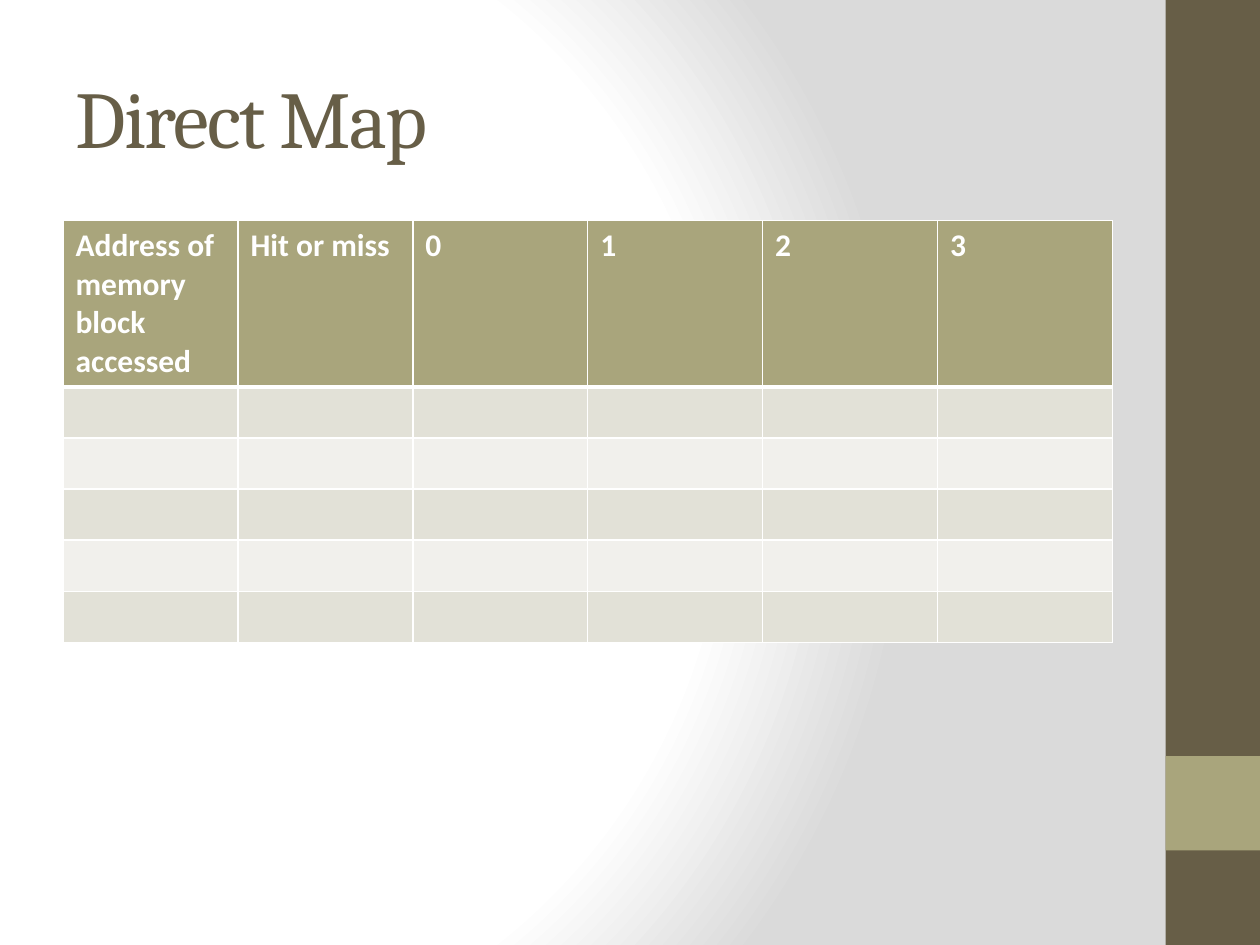
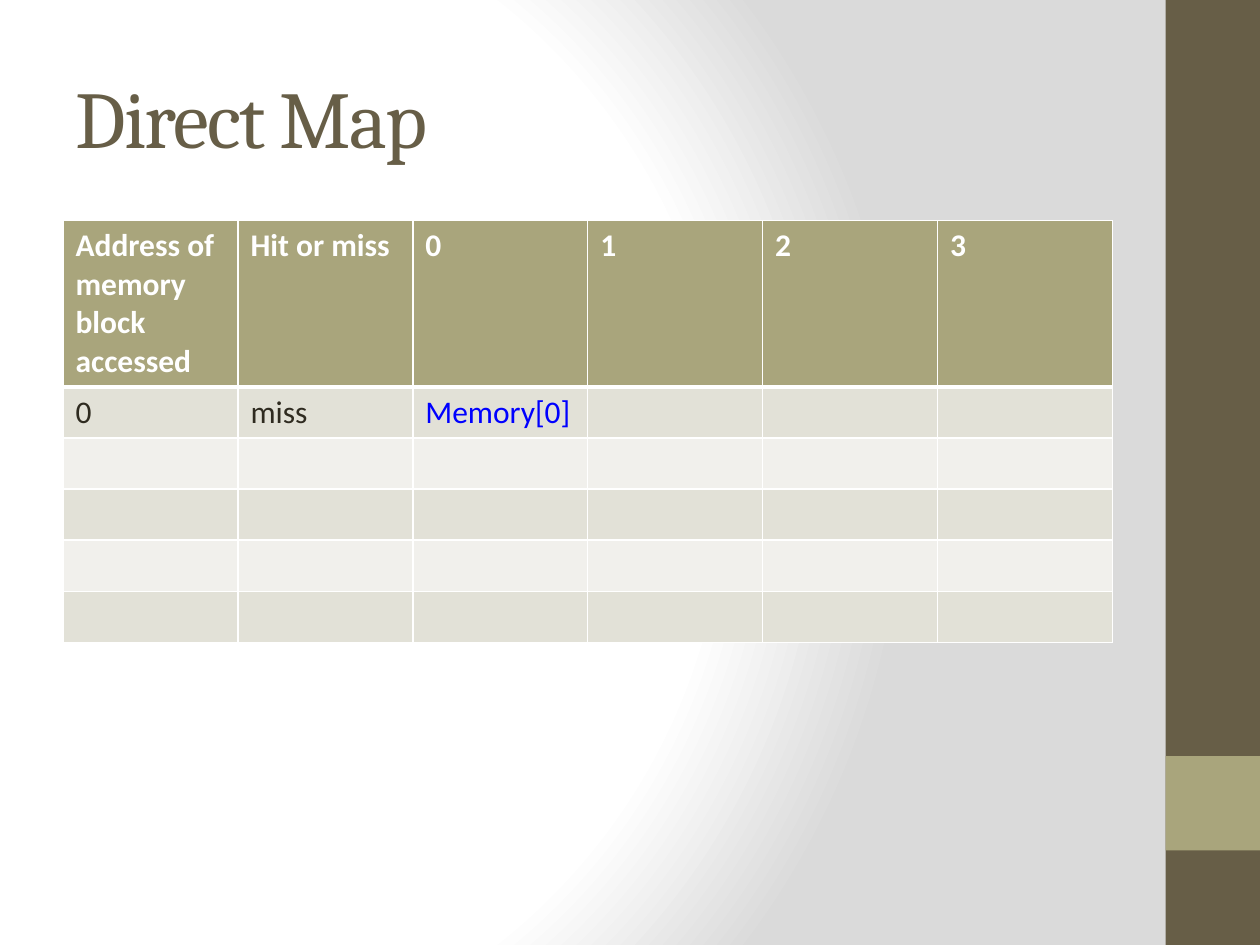
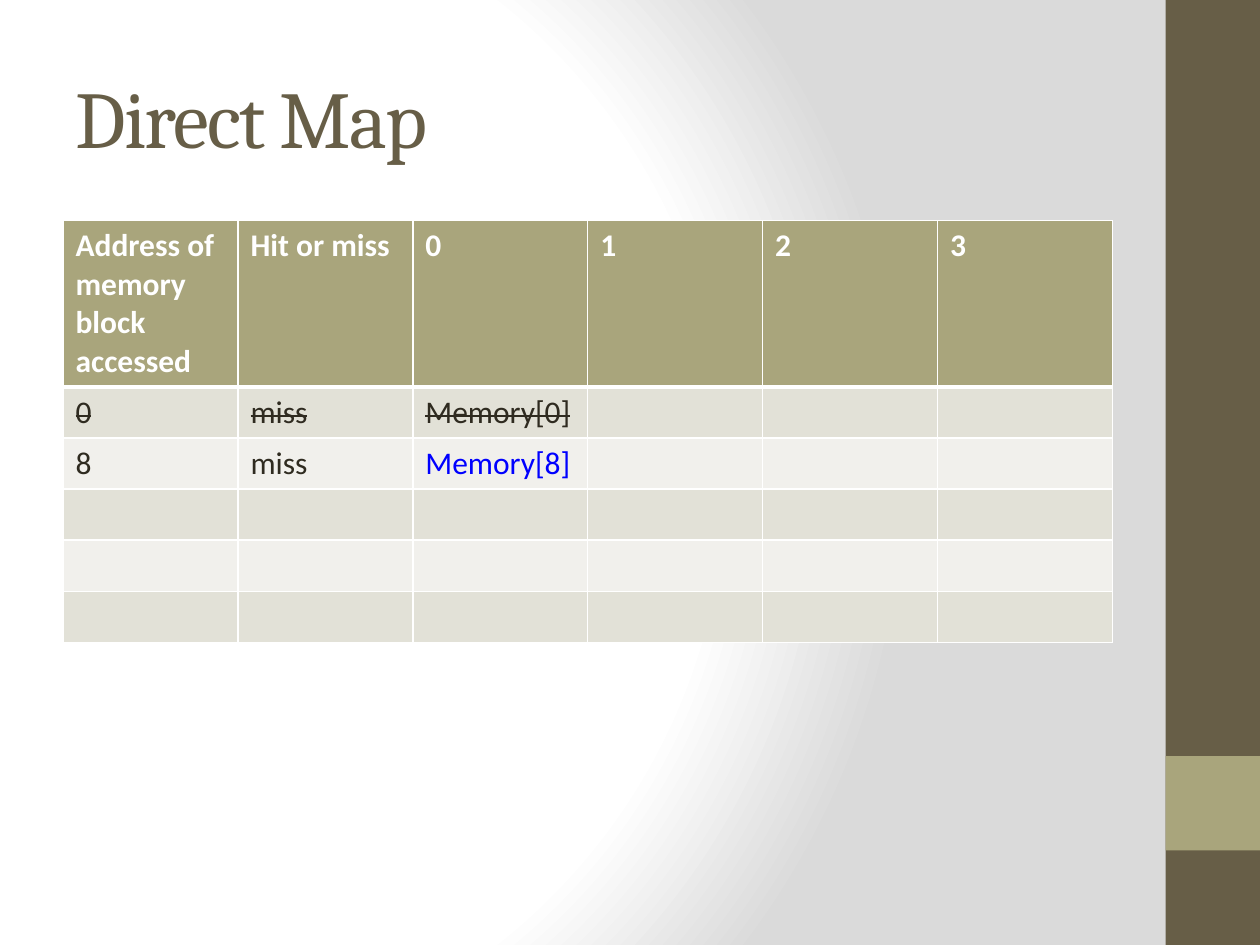
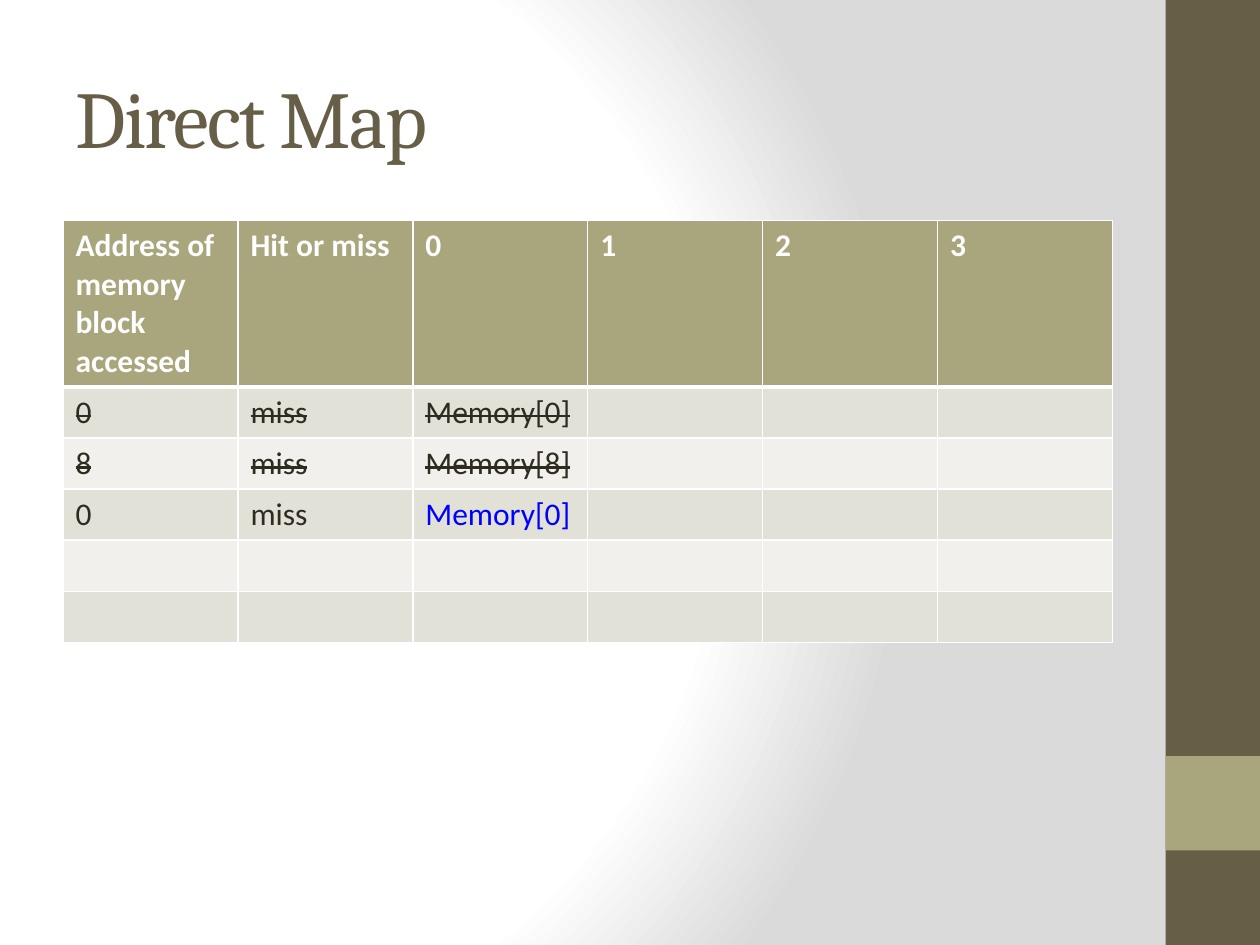
import dataclasses

import lxml.etree
import pptx
import pptx.dml.color
import pptx.enum.shapes
import pptx.enum.text
import pptx.oxml
import pptx.oxml.ns
import pptx.util

Inches = pptx.util.Inches
Pt = pptx.util.Pt


@dataclasses.dataclass(frozen=True)
class Theme:
    white: str = "FFFFFF"
    grey: str = "DADADA"
    brown: str = "675E47"
    olive: str = "A9A57C"
    bands: tuple = ("E2E1D7", "F1F0EC")
    ink: str = "2F2B20"
    current: str = "0000FF"
    title_font: str = "Cambria"
    body_font: str = "Calibri"
    title_size: int = 46
    body_size: int = 18
    thin_line: int = 1
    thick_line: int = 3


THEME = Theme()
TITLE_BOX = (Inches(0.5), Inches(0.3), Inches(8.33), Inches(1.25))
TABLE_BOX = (Inches(0.5), Inches(1.75), Inches(8.33), Inches(3.33))
SIDEBAR_BOX = (Inches(9.25), Inches(0), Inches(0.75), Inches(7.5))
ACCENT_BOX = (Inches(9.25), Inches(6), Inches(0.75), Inches(0.75))
ROW_HEIGHT = Inches(0.405)
EMPTY_ROWS = 5

CACHE_SLOTS = 4
HEADERS = ["Address of memory block accessed", "Hit or miss"]
HEADERS += [str(slot) for slot in range(CACHE_SLOTS)]
ACCESSES = [(0, "miss"), (8, "miss"), (0, "miss")]


def color(value):
    return pptx.dml.color.RGBColor.from_string(value)


def style_span(span, font, size, value, bold=False):
    span.font.name = font
    span.font.size = Pt(size)
    span.font.bold = bold
    span.font.color.rgb = color(value)


def set_background(master):
    """Give every slide the radial gradient."""
    master.background.fill.solid()
    properties = master.element.find(".//" + pptx.oxml.ns.qn("p:bgPr"))
    stops = [(0, THEME.white), (75, THEME.white), (100, THEME.grey)]
    stop_xml = "".join(
        f'<a:gs pos="{percent * 1000}"><a:srgbClr val="{value}"/></a:gs>'
        for percent, value in stops)
    gradient = pptx.oxml.parse_xml(
        f'<a:gradFill {pptx.oxml.ns.nsdecls("a")} rotWithShape="1">'
        f'<a:gsLst>{stop_xml}</a:gsLst><a:path path="circle">'
        '<a:fillToRect l="20000" t="50000" r="100000" b="50000"/>'
        '</a:path></a:gradFill>')
    properties.replace(properties[0], gradient)


def add_master_band(master, page, box, fill, position):
    """Draw a band on a page, then move it to the master behind the text."""
    band = page.shapes.add_shape(
        pptx.enum.shapes.MSO_SHAPE.RECTANGLE, *box)
    band.shadow.inherit = False
    band.fill.solid()
    band.fill.fore_color.rgb = color(fill)
    band.line.fill.background()
    band.element.nvSpPr.cNvPr.set("id", str(100 + position))
    # The first two children of the tree are group properties.
    master.shapes.element.insert(2 + position, band.element)


def place_title(page, box, text):
    title = page.shapes.title
    title.left, title.top, title.width, title.height = box
    frame = title.text_frame
    frame.text = text
    frame.word_wrap = True
    frame.vertical_anchor = pptx.enum.text.MSO_ANCHOR.MIDDLE
    paragraph = frame.paragraphs[0]
    paragraph.alignment = pptx.enum.text.PP_ALIGN.LEFT
    span = paragraph.runs[0]
    style_span(span, THEME.title_font, THEME.title_size, THEME.brown)
    span._r.get_or_add_rPr().set("spc", "-100")


def set_borders(cell, top, bottom):
    properties = cell._tc.get_or_add_tcPr()
    widths = {"lnL": THEME.thin_line, "lnR": THEME.thin_line,
              "lnT": top, "lnB": bottom}
    for position, (side, width) in enumerate(widths.items()):
        line = pptx.oxml.parse_xml(
            f'<a:{side} {pptx.oxml.ns.nsdecls("a")} w="{Pt(width)}">'
            f'<a:solidFill><a:srgbClr val="{THEME.white}"/></a:solidFill>'
            f'</a:{side}>')
        properties.insert(position, line)


def fill_cell(cell, text, value, bold=False, struck=False):
    cell.text_frame.text = text
    for span in cell.text_frame.paragraphs[0].runs:
        style_span(span, THEME.body_font, THEME.body_size, value, bold)
        if struck:
            span._r.get_or_add_rPr().set("strike", "sngStrike")


def place_cache_table(page, box, accesses):
    """Show the accesses so far; all but the latest are struck through."""
    frame = page.shapes.add_table(EMPTY_ROWS + 1, len(HEADERS), *box)
    table = frame.table
    for row in table.rows:
        row.height = ROW_HEIGHT
    frame.height = box[3]  # the header grows with its wrapped text

    # Fills and borders
    for index, row in enumerate(table.rows):
        fill = THEME.bands[(index - 1) % 2] if index else THEME.olive
        top = THEME.thick_line if index == 1 else THEME.thin_line
        bottom = THEME.thin_line if index else THEME.thick_line
        for cell in row.cells:
            cell.fill.solid()
            cell.fill.fore_color.rgb = color(fill)
            set_borders(cell, top, bottom)

    # Header
    for column, text in enumerate(HEADERS):
        fill_cell(table.cell(0, column), text, THEME.white, bold=True)

    # Accesses
    for row, (address, result) in enumerate(accesses, start=1):
        struck = row < len(accesses)
        slot_column = 2 + address % CACHE_SLOTS
        block_color = THEME.ink if struck else THEME.current
        fill_cell(table.cell(row, 0), str(address), THEME.ink, struck=struck)
        fill_cell(table.cell(row, 1), result, THEME.ink, struck=struck)
        fill_cell(table.cell(row, slot_column), f"Memory[{address}]",
                  block_color, struck=struck)


def build_deck():
    deck = pptx.Presentation()
    deck.slide_width, deck.slide_height = Inches(10), Inches(7.5)
    master = deck.slide_master
    title_only = deck.slide_layouts.get_by_name("Title Only")
    set_background(master)

    for count in range(len(ACCESSES) + 1):
        page = deck.slides.add_slide(title_only)
        if count == 0:
            add_master_band(master, page, SIDEBAR_BOX, THEME.brown, 0)
            add_master_band(master, page, ACCENT_BOX, THEME.olive, 1)
        place_title(page, TITLE_BOX, "Direct Map")
        place_cache_table(page, TABLE_BOX, ACCESSES[:count])
    return deck


build_deck().save("out.pptx")
